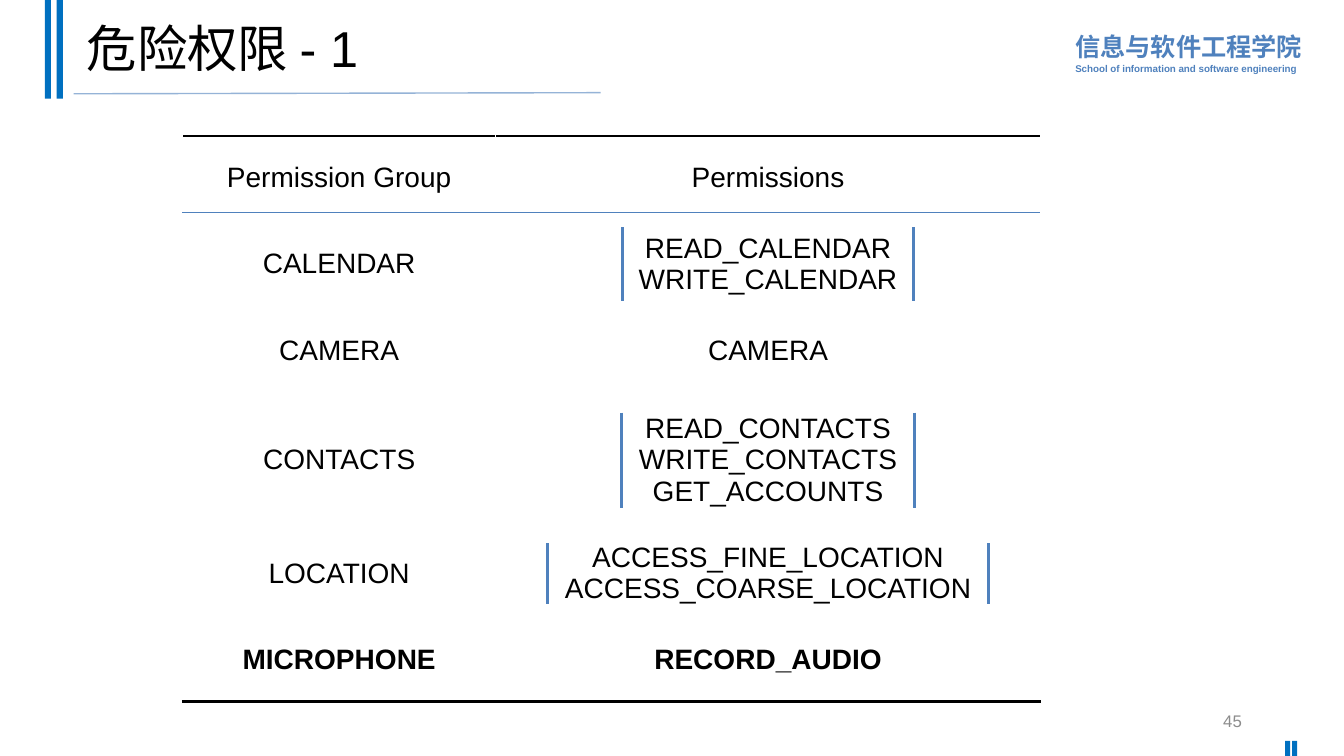
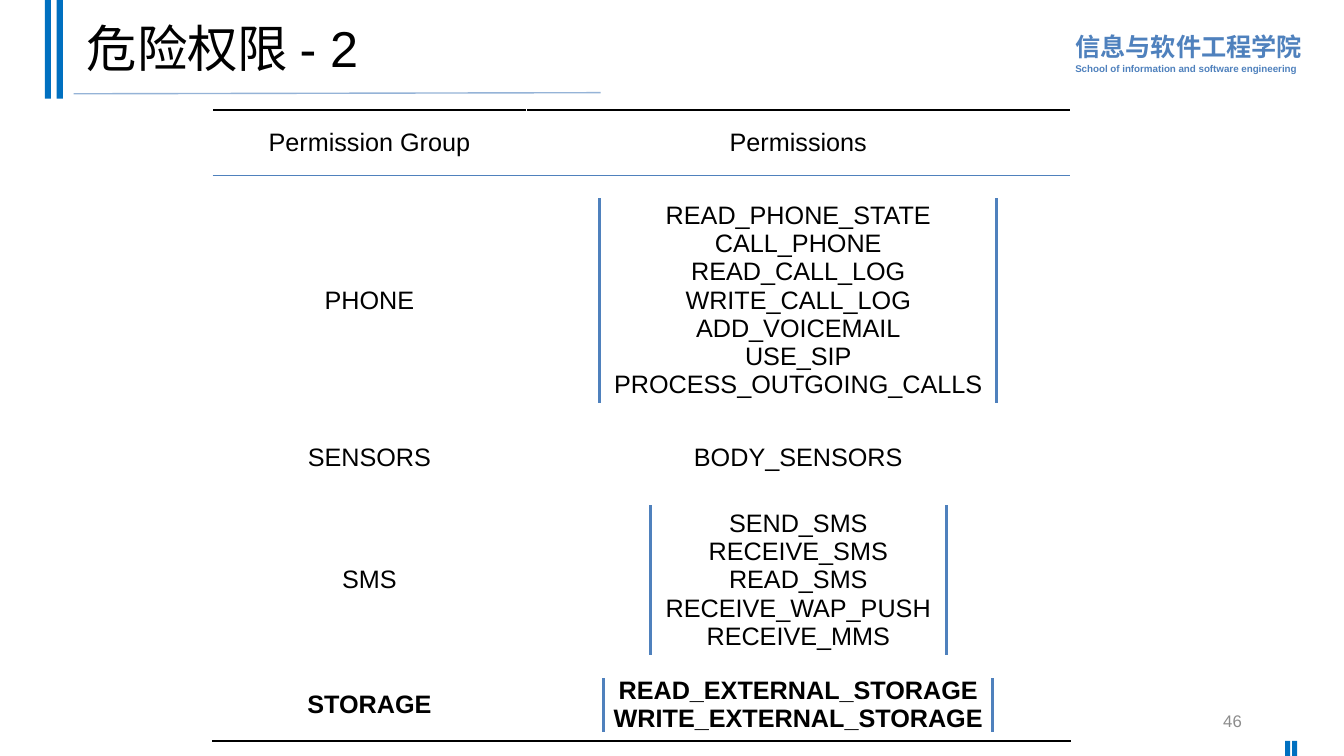
from pptx import Presentation
from pptx.dml.color import RGBColor
from pptx.enum.shapes import MSO_CONNECTOR, MSO_SHAPE
from pptx.enum.text import MSO_ANCHOR, PP_ALIGN
from pptx.oxml import parse_xml
from pptx.oxml.ns import nsdecls
from pptx.util import Pt

BLACK = RGBColor(0, 0, 0)
WHITE = RGBColor(0xFF, 0xFF, 0xFF)
BLUE = RGBColor(0x4F, 0x81, 0xBD)
BAR_BLUE = RGBColor(0x00, 0x70, 0xC0)
PALE_BLUE = RGBColor(0x95, 0xB3, 0xD7)
GRAY = RGBColor(0x8C, 0x8C, 0x8C)
FONT = "Arial"
COLUMNS = (223.92, 388.8)

HEADER = ("Permission Group", "Permissions")
SLIDES = [
    dict(title="危险权限 - 1", number=45, left=130.32, top=97.2, size=20, rule=54.72,
         rows=[
             (*HEADER, 59.04, None),
             ("CALENDAR", "READ_CALENDAR\nWRITE_CALENDAR", 64.8, (208, 52.5)),
             ("CAMERA", "CAMERA", 59.04, None),
             ("CONTACTS", "READ_CONTACTS\nWRITE_CONTACTS\nGET_ACCOUNTS", 97.2, (208.8, 67.7)),
             ("LOCATION", "ACCESS_FINE_LOCATION\nACCESS_COARSE_LOCATION", 64.8, (314.6, 43.2)),
             ("MICROPHONE", "RECORD_AUDIO", 59.04, None),
         ]),
    dict(title="危险权限 - 2", number=46, left=151.92, top=78.48, size=18, rule=46.8,
         rows=[
             (*HEADER, 46.8, None),
             ("PHONE", "READ_PHONE_STATE\nCALL_PHONE\nREAD_CALL_LOG\nWRITE_CALL_LOG\n"
                       "ADD_VOICEMAIL\nUSE_SIP\nPROCESS_OUTGOING_CALLS", 178.56, (283.7, 146.2)),
             ("SENSORS", "BODY_SENSORS", 46.8, None),
             ("SMS", "SEND_SMS\nRECEIVE_SMS\nREAD_SMS\nRECEIVE_WAP_PUSH\nRECEIVE_MMS",
              127.44, (211.7, 106.6)),
             ("STORAGE", "READ_EXTERNAL_STORAGE\nWRITE_EXTERNAL_STORAGE", 51.12, (277.9, 38.2)),
         ]),
]


def write(tf, text, size, color=BLACK, bold=False, align=PP_ALIGN.LEFT,
          anchor=MSO_ANCHOR.MIDDLE, spacing=None):
    """Fill a text frame with evenly formatted paragraphs."""
    tf.text = text
    tf.word_wrap = True
    tf.vertical_anchor = anchor
    for p in tf.paragraphs:
        p.alignment = align
        p.line_spacing = spacing
        for r in p.runs:
            r.font.name, r.font.size, r.font.bold = FONT, Pt(size), bold
            r.font.color.rgb = color


def add_line(s, x1, y1, x2, y2, color, width):
    """Draw a straight line without shadow."""
    line = s.shapes.add_connector(MSO_CONNECTOR.STRAIGHT, Pt(x1), Pt(y1), Pt(x2), Pt(y2))
    line.line.color.rgb = color
    line.line.width = Pt(width)
    line.element.spPr.append(parse_xml(f"<a:effectLst {nsdecls('a')}/>"))
    return line


def add_bar(s, x, y, w, h):
    """Draw a solid accent bar."""
    bar = s.shapes.add_shape(MSO_SHAPE.RECTANGLE, Pt(x), Pt(y), Pt(w), Pt(h))
    bar.shadow.inherit = False
    bar.fill.solid()
    bar.fill.fore_color.rgb = BAR_BLUE
    bar.line.fill.background()
    return bar


def move_to_layout(layout, s):
    """Build the school name, bars and title rule and hand them to the layout."""
    name = s.shapes.add_textbox(Pt(761), Pt(16.5), Pt(180), Pt(40.5))
    write(name.text_frame, "信息与软件工程学院\nSchool of information and software engineering",
          18, BLUE, bold=True, anchor=MSO_ANCHOR.TOP, spacing=1.1)
    name.text_frame.paragraphs[1].runs[0].font.size = Pt(7)
    bars = [add_bar(s, x, 0, 4.4, 70.5) for x in (32, 40.5)]
    bars += [add_bar(s, x, 529.2, 3.6, 10.8) for x in (918, 923)]
    rule = add_line(s, 52.6, 67, 429, 66.2, PALE_BLUE, 1)
    for shape in (name, *bars, rule):
        layout.shapes.element.append(shape.element)


def set_border(cell, side):
    """Give one side of a cell a black border."""
    border = parse_xml(
        f'<a:ln{side} {nsdecls("a")} w="{Pt(2)}"><a:solidFill><a:srgbClr val="{BLACK}"/>'
        f'</a:solidFill></a:ln{side}>')
    cell._tc.get_or_add_tcPr().insert(0, border)


def add_permission_table(s, left, top, size, rule, rows):
    """Place the table, its header rule and the brackets centred on its rows."""
    width, height = sum(COLUMNS), sum(row[2] for row in rows)
    frame = s.shapes.add_table(len(rows), 2, Pt(left), Pt(top), Pt(width), Pt(height))
    table = frame.table
    table.first_row = table.horz_banding = False
    for column, w in zip(table.columns, COLUMNS):
        column.width = Pt(w)

    last = len(rows) - 1
    center = left + COLUMNS[0] + COLUMNS[1] / 2
    y = top
    for i, (group, permissions, h, bracket) in enumerate(rows):
        table.rows[i].height = Pt(h)
        for cell, text in zip(table.rows[i].cells, (group, permissions)):
            cell.margin_left = cell.margin_right = cell.margin_top = cell.margin_bottom = 0
            write(cell.text_frame, text, size, bold=i == last, align=PP_ALIGN.CENTER)
            cell.vertical_anchor = MSO_ANCHOR.MIDDLE
            cell.fill.solid()
            cell.fill.fore_color.rgb = WHITE
            if i in (0, last):
                set_border(cell, "B" if i else "T")
        if bracket:
            bw, bh = bracket
            middle = y + h / 2
            for x in (center - bw / 2, center + bw / 2):
                add_line(s, x, middle - bh / 2, x, middle + bh / 2, BLUE, 2.25)
        y += h
    add_line(s, left, top + rule, left + width, top + rule, BLUE, 0.5)


def add_permission_slide(prs, layout, title, number, **table):
    """Add a slide with a title, a permission table and a page number."""
    s = prs.slides.add_slide(layout)
    head = s.shapes.title
    head.left, head.top, head.width, head.height = Pt(54.72), Pt(5), Pt(828), Pt(63.4)
    write(head.text_frame, title, 36, spacing=0.9)
    add_permission_table(s, **table)
    page = s.shapes.add_textbox(Pt(678.2), Pt(500.4), Pt(216), Pt(28.8))
    write(page.text_frame, str(number), 12, GRAY, align=PP_ALIGN.RIGHT)
    return s


def main():
    """Build and save the presentation."""
    prs = Presentation()
    prs.slide_width, prs.slide_height = Pt(960), Pt(540)
    layout = prs.slide_layouts[5]
    slides = [add_permission_slide(prs, layout, **content) for content in SLIDES]
    move_to_layout(layout, slides[0])
    prs.save("out.pptx")


if __name__ == "__main__":
    main()
